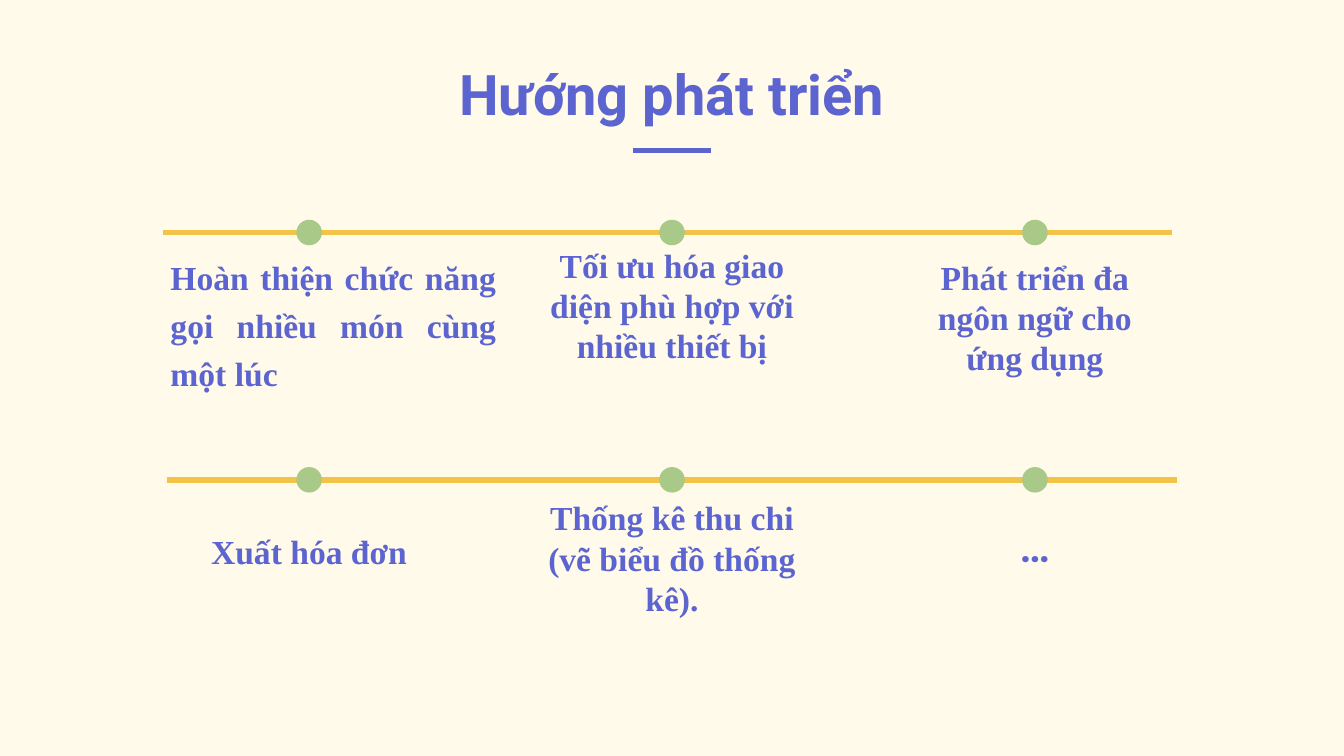
from dataclasses import dataclass

from pptx import Presentation
from pptx.dml.color import RGBColor
from pptx.enum.shapes import MSO_CONNECTOR, MSO_SHAPE
from pptx.enum.text import MSO_ANCHOR, PP_ALIGN
from pptx.oxml.ns import qn
from pptx.util import Inches, Pt
from lxml.etree import SubElement


@dataclass(frozen=True)
class Theme:
    back: str = "FFFAEA"
    ink: str = "5C65CF"
    gold: str = "F3C347"
    green: str = "A8C987"
    head: str = "Roboto"
    body: str = "Times New Roman"
    big: int = 30
    mid: int = 22
    base: int = 18
    rule: int = 3


def cell(count):
    """Length of a number of grid cells; the slide is 100 columns wide."""
    return Inches(count / 10)


def style(target, values):
    for name, value in values.items():
        setattr(target, name, value)


class Board:
    def __init__(self, slide, theme):
        self.slide, self.theme = slide, theme
        fill = slide.background.fill
        fill.solid()
        fill.fore_color.rgb = RGBColor.from_string(theme.back)

    def line(self, left, right, row, color):
        rule = self.slide.shapes.add_connector(
            MSO_CONNECTOR.STRAIGHT, cell(left), cell(row), cell(right), cell(row))
        rule.line.color.rgb = RGBColor.from_string(color)
        rule.line.width = Pt(self.theme.rule)
        SubElement(rule._element.spPr, qn("a:effectLst"))

    def dot(self, col, row, size=1.9):
        dot = self.slide.shapes.add_shape(
            MSO_SHAPE.OVAL, cell(col - size / 2), cell(row - size / 2),
            cell(size), cell(size))
        dot.shadow.inherit = False
        dot.fill.solid()
        dot.fill.fore_color.rgb = RGBColor.from_string(self.theme.green)
        dot.line.fill.background()

    def text(self, words, mid, top, wide=20.4, high=7.3, pad=1, font=None,
             size=None, form=None):
        """Bottom-anchored bold text centred on column mid, pad cells above the base."""
        box = self.slide.shapes.add_textbox(
            cell(mid - wide / 2), cell(top), cell(wide), cell(high))
        frame = box.text_frame
        style(frame, {
            "word_wrap": True, "vertical_anchor": MSO_ANCHOR.BOTTOM,
            "margin_left": cell(1), "margin_right": cell(1),
            "margin_top": cell(1), "margin_bottom": cell(pad)})
        para = frame.paragraphs[0]
        style(para, {"alignment": PP_ALIGN.CENTER, **(form or {})})
        run = para.add_run()
        run.text = words
        style(run.font, {"name": font or self.theme.body, "bold": True,
                         "size": Pt(size or self.theme.base)})
        run.font.color.rgb = RGBColor.from_string(self.theme.ink)


def main():
    deck = Presentation()
    style(deck, {"slide_width": cell(100), "slide_height": cell(56.25)})
    theme = Theme()
    board = Board(deck.slides.add_slide(deck.slide_layouts[6]), theme)

    cols = [23 + 27 * step for step in range(3)]
    first, second = 17.3, 35.7
    raised = 4.7  # bottom padding that lifts a text by one line
    board.line(47.1, 52.9, 11.2, theme.ink)
    board.text("Hướng phát triển", 50, 2.15, 84.4, 8.3,
               font=theme.head, size=theme.big)

    board.text("Hoàn thiện chức năng gọi nhiều món cùng một lúc",
               24.8, 23, wide=26.2,
               form={"alignment": PP_ALIGN.JUSTIFY, "line_spacing": 1.2,
                     "space_before": Pt(6)})
    board.text("Tối ưu hóa giao diện phù hợp với nhiều thiết bị",
               cols[1], 24.6, pad=raised)
    board.text("Phát triển đa ngôn ngữ cho ứng dụng",
               cols[2], 25.5, pad=raised)
    board.text("Xuất hóa đơn", cols[0], 36.2)
    board.text("Thống kê thu chi (vẽ biểu đồ thống kê).",
               cols[1], 43.4, pad=raised)
    board.text("…", cols[2], 36.2, font=theme.head, size=theme.mid)

    for left, right, row in ((12.1, 87.2, first), (12.4, 87.6, second)):
        board.line(left, right, row, theme.gold)
        for col in cols:
            board.dot(col, row)
    deck.save("out.pptx")


if __name__ == "__main__":
    main()
